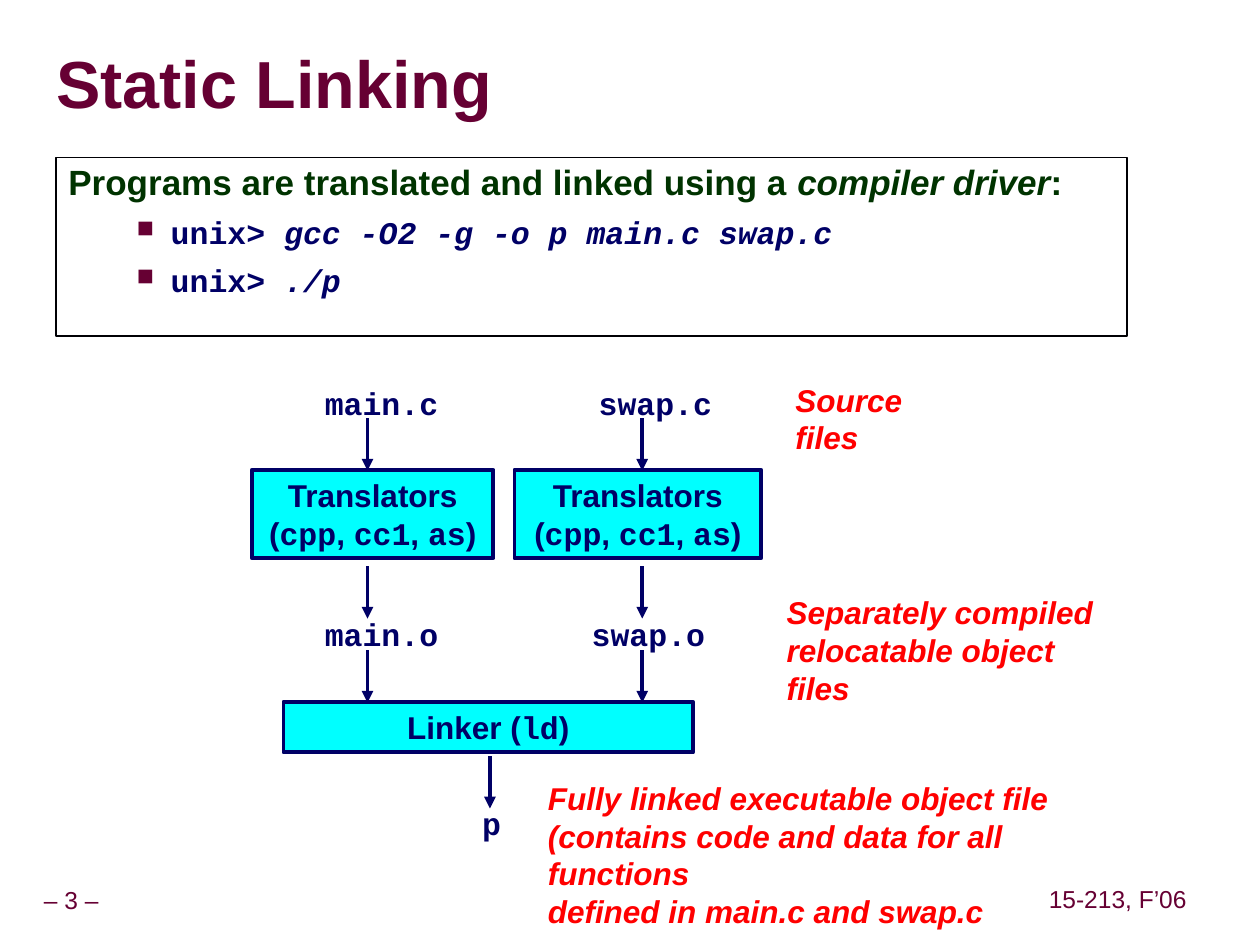
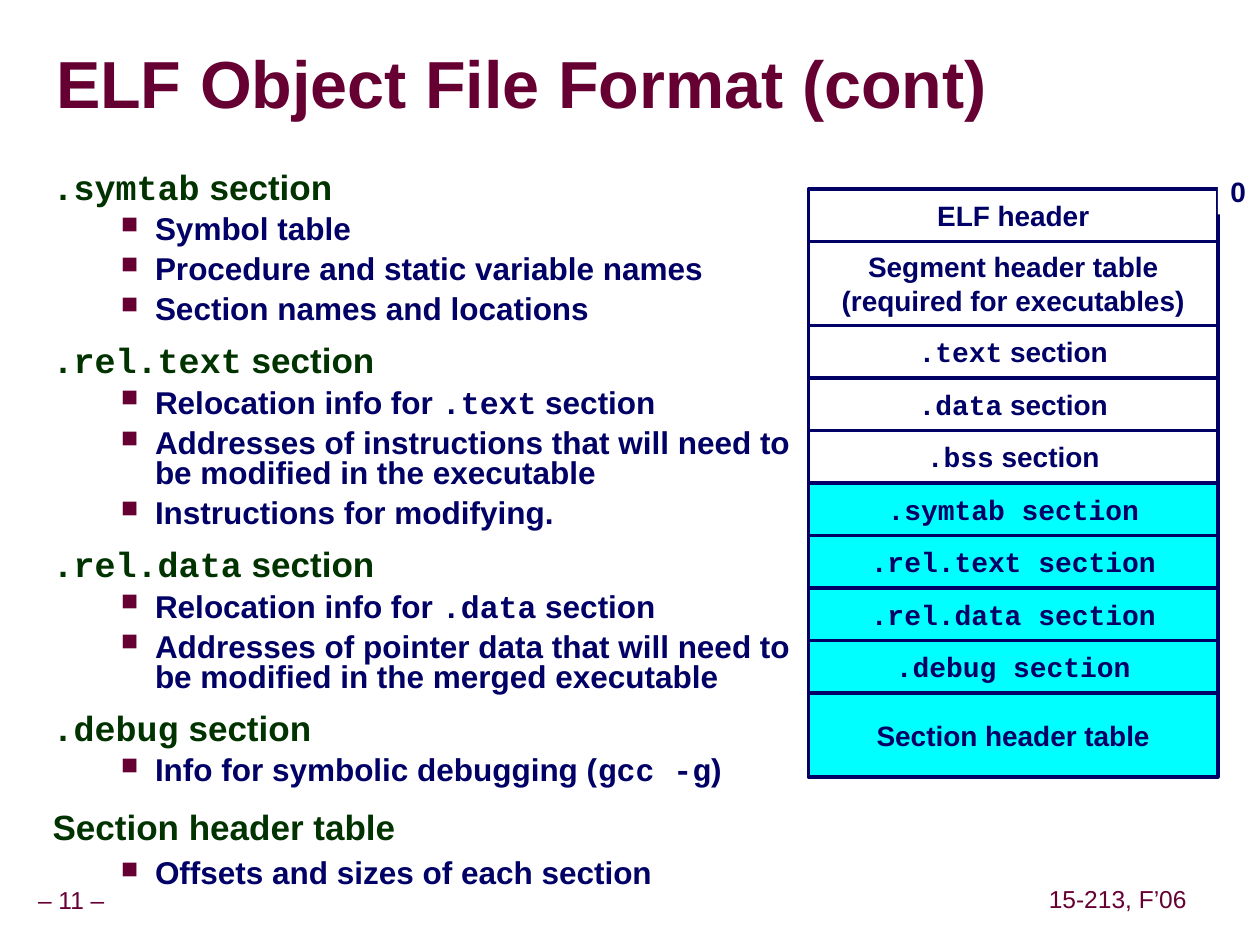
import pptx
import pptx.util
import pptx.dml.color
import pptx.enum.shapes
import pptx.enum.text
import pptx.oxml
import pptx.oxml.ns

Pt = pptx.util.Pt
ALIGN = pptx.enum.text.PP_ALIGN
ANCHOR = pptx.enum.text.MSO_ANCHOR
RECTANGLE = pptx.enum.shapes.MSO_SHAPE.RECTANGLE

COLORS = {
    "maroon": "660033",
    "green": "003300",
    "navy": "000066",
    "cyan": "00FFFF",
    "red": "FF0000",
    "white": "FFFFFF",
    "black": "000004",
}
SANS, CODE = "Arial", "Courier New"
COURSE = "15-213, F’06"

# `code` switches to the code font, *text* to italics
DRIVER_TEXT = [
    ("Programs are translated and linked using a *compiler driver*:", [
        "`unix> *gcc -O2 -g -o p main.c swap.c*`",
        "`unix> *./p*`",
    ], 0.95, 1.0),
]
TRANSLATOR = ["Translators", "(`cpp`, `cc1`, `as`)"]
STEPS = [
    (TRANSLATOR, 144, 268.5, 138, 50.5),
    (TRANSLATOR, 294, 268.5, 141, 50.5),
    (["Linker (`ld`)"], 162, 401, 234, 29),
]
FILES = [
    ("main.c", 178.5, 216, 79),
    ("swap.c", 335, 216, 79),
    ("main.o", 178.5, 348, 79),
    ("swap.o", 331, 348, 79),
    ("p", 268.5, 456, 25),
]
REMARKS = [
    (["Source files"], 447.5, 214, 116),
    (["Separately compiled", "relocatable object files"], 442.5, 335.5, 208),
    (["Fully linked executable object file",
      "(contains code and data for all functions",
      "defined in main.c and swap.c"], 306, 441.5, 360),
]
COLUMN_CENTERS = [210, 367]
ARROW_TOPS = [239, 323.5, 371.5]
OUTPUT_ARROW = (280, 432)
ARROW_LENGTH = 30

SECTION_TEXT = [
    ("`.symtab` section", [
        "Symbol table",
        "Procedure and static variable names",
        "Section names and locations",
    ], 0.75, 0.8),
    ("`.rel.text` section", [
        "Relocation info for `.text` section",
        "Addresses of instructions that will need to be modified in the executable",
        "Instructions for modifying.",
    ], 0.75, 0.8),
    ("`.rel.data` section", [
        "Relocation info for `.data` section",
        "Addresses of pointer data that will need to be modified in the merged executable",
    ], 0.75, 0.8),
    ("`.debug` section", ["Info for symbolic debugging (`gcc -g`)"], 0.75, 0.8),
    ("Section header table", ["Offsets and sizes of each section"], 0.9, 0.9),
]
ELF_LAYOUT = [
    (["ELF header"], 30, "white"),
    (["Segment header table", "(required for executables)"], 48, "white"),
    (["`.text` section"], 30, "white"),
    (["`.data` section"], 30, "white"),
    (["`.bss` section"], 30, "white"),
    (["`.symtab section`"], 30, "cyan"),
    (["`.rel.text section`"], 30, "cyan"),
    (["`.rel.data section`"], 30, "cyan"),
    (["`.debug section`"], 30, "cyan"),
    (["Section header table"], 48, "cyan"),
]


def rgb(color):
    return pptx.dml.color.RGBColor.from_string(COLORS[color])


def add_xml(parent, markup):
    namespace = pptx.oxml.ns.nsdecls("a")
    element = pptx.oxml.parse_xml(markup.replace(">", f" {namespace}>", 1)
                                  if "/>" not in markup.split(">")[0] + ">"
                                  else markup.replace("/>", f" {namespace}/>", 1))
    parent.append(element)
    return element


def add_runs(paragraph, text):
    for code_index, section in enumerate(text.split("`")):
        for italic_index, words in enumerate(section.split("*")):
            if words:
                run = paragraph.add_run()
                run.text = words
                if code_index % 2:
                    run.font.name = CODE
                if italic_index % 2:
                    run.font.italic = True


def write(frame, lines, size, color, font=SANS, bold=True, italic=None,
          align=ALIGN.LEFT, spacing=None):
    for index, text in enumerate(lines):
        paragraph = frame.paragraphs[0] if index == 0 else frame.add_paragraph()
        paragraph.alignment = align
        paragraph.line_spacing = spacing
        paragraph.font.name = font
        paragraph.font.size = Pt(size)
        paragraph.font.bold = bold
        paragraph.font.italic = italic
        paragraph.font.color.rgb = rgb(color)
        add_runs(paragraph, text)


def set_frame(shape, wrap, anchor, inset=(7.2, 3.6)):
    frame = shape.text_frame
    frame.word_wrap = wrap
    frame.vertical_anchor = anchor
    frame.margin_left = frame.margin_right = Pt(inset[0])
    frame.margin_top = frame.margin_bottom = Pt(inset[1])
    return frame


def add_text(slide, lines, left, top, width, height, size, color,
             wrap=False, anchor=ANCHOR.TOP, inset=(7.2, 3.6), **style):
    shape = slide.shapes.add_textbox(Pt(left), Pt(top), Pt(width), Pt(height))
    write(set_frame(shape, wrap, anchor, inset), lines, size, color, **style)
    return shape


def add_box(slide, lines, left, top, width, height, size, fill, line_width,
            wrap=True, anchor=ANCHOR.TOP):
    shape = slide.shapes.add_shape(RECTANGLE, Pt(left), Pt(top), Pt(width), Pt(height))
    shape.shadow.inherit = False
    shape.fill.solid()
    shape.fill.fore_color.rgb = rgb(fill)
    shape.line.color.rgb = rgb("navy")
    shape.line.width = Pt(line_width)
    write(set_frame(shape, wrap, anchor), lines, size, "navy", align=ALIGN.CENTER)


def add_arrow(slide, x, top):
    arrow = slide.shapes.add_connector(pptx.enum.shapes.MSO_CONNECTOR.STRAIGHT,
                                       Pt(x), Pt(top), Pt(x), Pt(top + ARROW_LENGTH))
    arrow.line.color.rgb = rgb("navy")
    arrow.line.width = Pt(2.25)
    add_xml(arrow.line._get_or_add_ln(), '<a:tailEnd type="triangle"/>')
    add_xml(arrow._element.spPr, "<a:effectLst/>")


def add_outline(slide, groups, left, top, width, height):
    shape = slide.shapes.add_textbox(Pt(left), Pt(top), Pt(width), Pt(height))
    frame = set_frame(shape, True, ANCHOR.TOP)
    rows = []
    for heading, points, heading_spacing, point_spacing in groups:
        rows.append((heading, False, heading_spacing))
        rows += [(point, True, point_spacing) for point in points]
    for index, (text, is_point, spacing) in enumerate(rows):
        paragraph = frame.paragraphs[0] if index == 0 else frame.add_paragraph()
        paragraph.line_spacing = spacing
        paragraph.space_before = Pt(5.6 if is_point else 12.5)
        properties = paragraph._p.get_or_add_pPr()
        margin, indent = (58.5, -19.5) if is_point else (30, -30)
        properties.set("marL", str(Pt(margin)))
        properties.set("indent", str(Pt(indent)))
        if is_point:
            properties.set("lvl", "1")
            add_xml(properties, f'<a:buClr><a:srgbClr val="{COLORS["maroon"]}"/></a:buClr>')
            add_xml(properties, '<a:buSzPct val="75000"/>')
            add_xml(properties, '<a:buChar char="■"/>')
        paragraph.font.name = SANS
        paragraph.font.size = Pt(18 if is_point else 20)
        paragraph.font.bold = True
        paragraph.font.color.rgb = rgb("navy" if is_point else "green")
        add_runs(paragraph, text)
    return shape


def add_slide(presentation, title, number):
    slide = presentation.slides.add_slide(presentation.slide_layouts[6])
    for text, left, top, width in [(f"– {number} –", -6.5, 504, 94.5),
                                   (COURSE, 595.5, 503.5, 86.5)]:
        add_text(slide, [text], left, top, width, 22, 14, "maroon", bold=False,
                 anchor=ANCHOR.MIDDLE, inset=(3.6, 3.6), align=ALIGN.CENTER, spacing=0.9)
    heading = add_text(slide, [title], 32, 19.5, 686, 61, 38, "maroon", wrap=True,
                       anchor=ANCHOR.MIDDLE, inset=(0, 0), spacing=0.87)
    run = heading.text_frame.paragraphs[0].runs[0]
    add_xml(run._r.get_or_add_rPr(),
            '<a:effectLst><a:outerShdw dist="38100" dir="2700000">'
            '<a:srgbClr val="969696"/></a:outerShdw></a:effectLst>')
    return slide


def build_linking(presentation):
    slide = add_slide(presentation, "Static Linking", 3)
    outline = add_outline(slide, DRIVER_TEXT, 32, 90, 612, 102)
    outline.line.color.rgb = rgb("black")
    outline.line.width = Pt(0.75)
    for lines, left, top, width, height in STEPS:
        add_box(slide, lines, left, top, width, height, 18, "cyan", 2.25)
    for name, left, top, width in FILES:
        add_text(slide, [name], left, top, width, 29, 18, "navy", font=CODE)
    for x in COLUMN_CENTERS:
        for top in ARROW_TOPS:
            add_arrow(slide, x, top)
    add_arrow(slide, *OUTPUT_ARROW)
    for lines, left, top, width in REMARKS:
        add_text(slide, lines, left, top, width, 7.2 + 21.6 * len(lines), 18, "red",
                 italic=True)


def build_elf(presentation):
    slide = add_slide(presentation, "ELF Object File Format (cont)", 11)
    add_outline(slide, SECTION_TEXT, 23, 96.5, 439, 430.5)
    top = 108
    for lines, height, fill in ELF_LAYOUT:
        add_box(slide, lines, 462, top, 234, height, 16, fill, 2,
                wrap=False, anchor=ANCHOR.MIDDLE)
        top += height
    offset = add_text(slide, ["0"], 696, 96, 23, 26.5, 16, "navy")
    offset.fill.solid()
    offset.fill.fore_color.rgb = rgb("white")


def main():
    presentation = pptx.Presentation()
    presentation.slide_width = Pt(720)
    presentation.slide_height = Pt(540)
    build_linking(presentation)
    build_elf(presentation)
    presentation.save("out.pptx")


if __name__ == "__main__":
    main()
